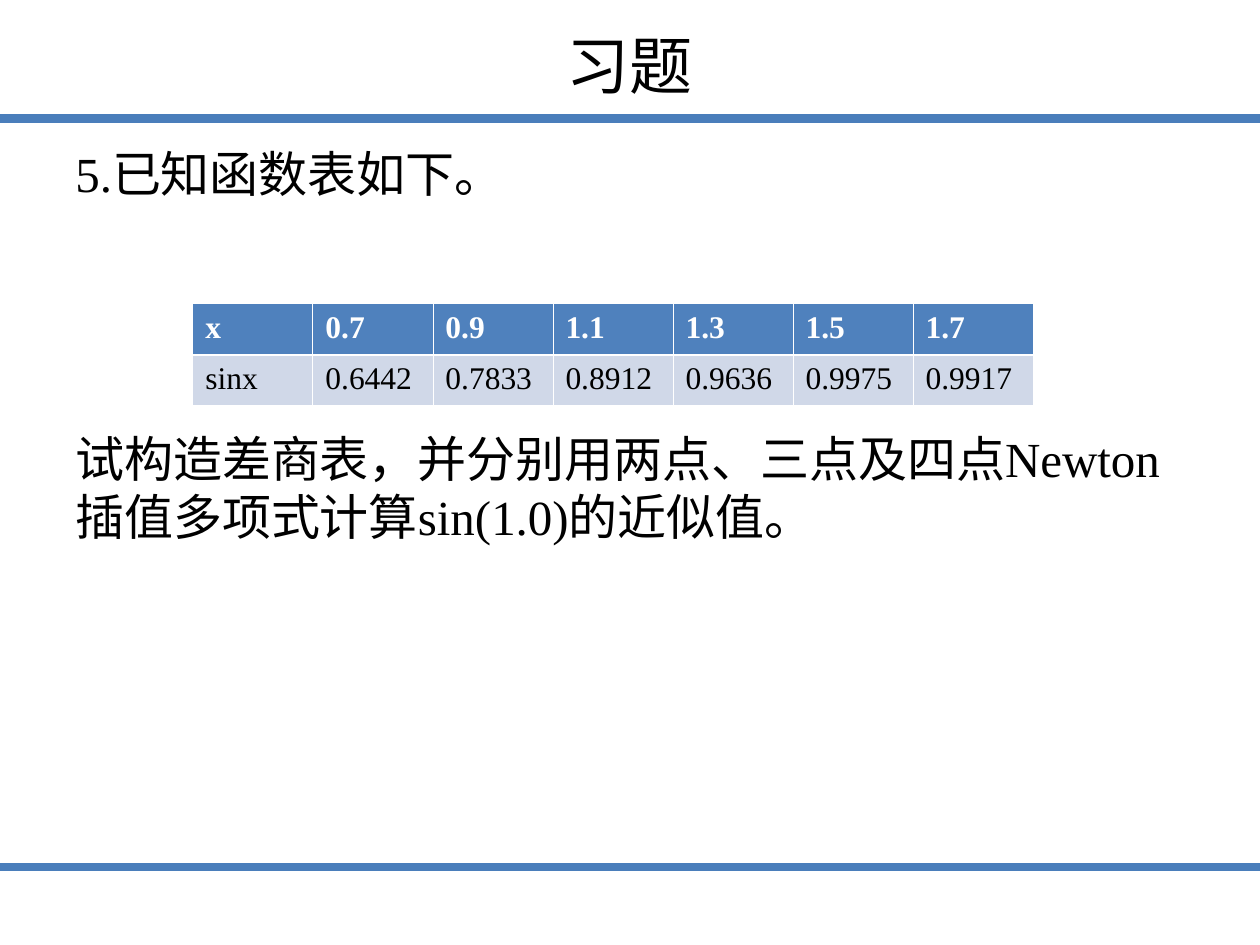
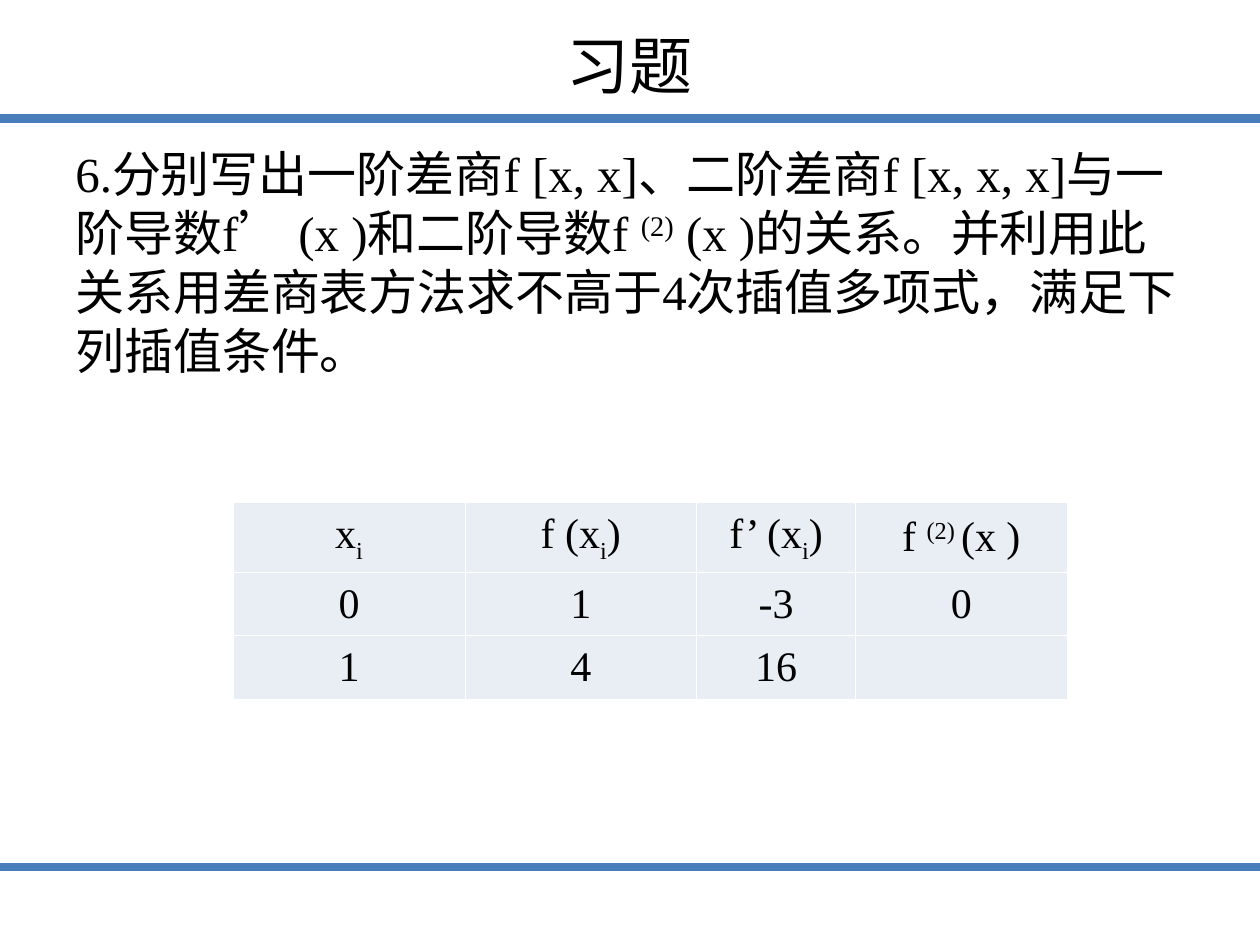
from dataclasses import dataclass

from lxml import etree
from pptx import Presentation
from pptx.dml.color import RGBColor
from pptx.enum.shapes import MSO_CONNECTOR
from pptx.enum.text import MSO_ANCHOR, PP_ALIGN
from pptx.oxml.ns import qn
from pptx.util import Inches, Pt

STRAIGHT = MSO_CONNECTOR.STRAIGHT
TOP, MIDDLE = MSO_ANCHOR.TOP, MSO_ANCHOR.MIDDLE
LEFT, CENTER = PP_ALIGN.LEFT, PP_ALIGN.CENTER


@dataclass(frozen=True)
class Theme:
    """Colours, fonts and type sizes shared by the slides."""
    rule: str = "4A7EBB"
    header: str = "4F81BD"
    band: str = "D0D8E8"
    pale: str = "E9EDF4"
    ink: str = "000000"
    white: str = "FFFFFF"
    title_font: str = "Arial"
    body_font: str = "Times New Roman"
    title_size: float = 36
    body_size: float = 28
    formula_size: float = 24
    value_size: float = 18
    rule_width: float = 5
    thin: float = 0.45
    thick: float = 1.47


THEME = Theme()
SLIDE_SIZE = (10, 7.5)
RULE_TOPS = (0.94, 6.88)
TITLE_BOX = (0.5, 0.16, 9, 0.7)
BODY_BOX = (0.5, 1.09, 9, 5.61)
SUB, SUPER = -25000, 30000

SINE_ROWS = (
    ("x", "0.7", "0.9", "1.1", "1.3", "1.5", "1.7"),
    ("sinx", "0.6442", "0.7833", "0.8912", "0.9636", "0.9975", "0.9917"),
)
SINE_QUESTION = (
    "5.已知函数表如下。",
    "试构造差商表，并分别用两点、三点及四点Newton插值多项式计算sin(1.0)的近似值。",
)
HERMITE_ROWS = (
    (
        [("x", 0), ("i", SUB)],
        [("f (x", 0), ("i", SUB), (")", 0)],
        [("f’ (x", 0), ("i", SUB), (")", 0)],
        [("f ", 0), ("(2) ", SUPER), ("(x )", 0)],
    ),
    ("0", "1", "-3", "0"),
    ("1", "4", "16", ""),
)
HERMITE_QUESTION = (
    [
        ("6.分别写出一阶差商f [x, x]、二阶差商f [x, x, x]与一阶导数f’ (x )和二阶导数f ", 0),
        ("(2)", SUPER),
        (" (x )的关系。并利用此关系用差商表方法求不高于4次插值多项式，满足下列插值条件。", 0),
    ],
)


def write(frame, paragraphs, size, font=THEME.body_font, color=THEME.ink,
          bold=False, align=LEFT, anchor=TOP, gap=0):
    """Write paragraphs, each a string or a list of (text, baseline) runs."""
    frame.word_wrap = True
    frame.vertical_anchor = anchor
    for index, content in enumerate(paragraphs):
        paragraph = frame.add_paragraph() if index else frame.paragraphs[0]
        paragraph.alignment = align
        if index:
            paragraph.space_before = Pt(gap)
        runs = [(content, 0)] if isinstance(content, str) else content
        for text, baseline in runs:
            if not text:
                continue
            run = paragraph.add_run()
            run.text = text
            run.font.name = font
            run.font.size = Pt(size)
            run.font.bold = bold
            run.font.color.rgb = RGBColor.from_string(color)
            if baseline:
                run.font._element.set("baseline", str(baseline))


def add_text(slide, box, paragraphs, **style):
    """Add a text box that fills the given box."""
    frame = slide.shapes.add_textbox(*map(Inches, box)).text_frame
    write(frame, paragraphs, **style)


def add_rule(slide, top):
    """Draw a full-width rule at the given height."""
    rule = slide.shapes.add_connector(
        STRAIGHT, 0, Inches(top), Inches(SLIDE_SIZE[0]), Inches(top))
    rule.line.color.rgb = RGBColor.from_string(THEME.rule)
    rule.line.width = Pt(THEME.rule_width)
    etree.SubElement(rule._element.spPr, qn("a:effectLst"))


def set_borders(cell, top, bottom):
    """Give a cell white borders, with their own top and bottom widths."""
    sides = (("lnL", THEME.thin), ("lnR", THEME.thin), ("lnT", top), ("lnB", bottom))
    properties = cell._tc.get_or_add_tcPr()
    for index, (side, width) in enumerate(sides):
        line = etree.Element(qn(f"a:{side}"), w=str(int(Pt(width))))
        fill = etree.SubElement(line, qn("a:solidFill"))
        etree.SubElement(fill, qn("a:srgbClr"), val=THEME.white)
        properties.insert(index, line)


def add_grid(slide, origin, widths, heights, rows, fills, margin,
             divider=THEME.thin, header_style=None, **style):
    """Build a table at origin, with a divider below its first row."""
    frame = slide.shapes.add_table(
        len(heights), len(widths), *map(Inches, (*origin, sum(widths), sum(heights))))
    table = frame.table
    table.first_row = table.horz_banding = False
    for column, width in zip(table.columns, widths):
        column.width = Inches(width)
    for index, (row, height, values) in enumerate(zip(table.rows, heights, rows)):
        row.height = Inches(height)
        row_style = {**style, **(header_style or {})} if index == 0 else style
        for cell, content in zip(row.cells, values):
            cell.margin_left = cell.margin_right = Inches(margin)
            cell.margin_top = cell.margin_bottom = Inches(0.05)
            cell.fill.solid()
            cell.fill.fore_color.rgb = RGBColor.from_string(fills[index])
            set_borders(cell, divider if index == 1 else THEME.thin,
                        divider if index == 0 else THEME.thin)
            cell.vertical_anchor = row_style.get("anchor", TOP)
            write(cell.text_frame, [content], **row_style)


def add_exercise(deck, question, gap=0):
    """Add a slide with rules, title and question text."""
    slide = deck.slides.add_slide(deck.slide_layouts[6])
    for top in RULE_TOPS:
        add_rule(slide, top)
    add_text(slide, TITLE_BOX, ["习题"], size=THEME.title_size,
             font=THEME.title_font, align=CENTER, anchor=MIDDLE)
    add_text(slide, BODY_BOX, question, size=THEME.body_size, gap=gap)
    return slide


def add_sine_exercise(deck):
    """Add the exercise on Newton interpolation of the sine."""
    slide = add_exercise(deck, SINE_QUESTION, gap=129)
    add_grid(slide, (1.53, 2.41), [6.67 / 7] * 7, (0.41, 0.4), SINE_ROWS,
             (THEME.header, THEME.band), margin=0.1, divider=THEME.thick,
             header_style={"color": THEME.white, "bold": True},
             size=THEME.value_size)


def add_hermite_exercise(deck):
    """Add the exercise on divided differences with derivatives."""
    slide = add_exercise(deck, HERMITE_QUESTION)
    add_grid(slide, (1.85, 3.99), (1.84, 1.84, 1.26, 1.68), (0.54, 0.4, 0.4),
             HERMITE_ROWS, [THEME.pale] * 3, margin=0.07,
             size=THEME.formula_size, align=CENTER, anchor=MIDDLE)


def main():
    """Build and save the deck."""
    deck = Presentation()
    deck.slide_width, deck.slide_height = map(Inches, SLIDE_SIZE)
    add_sine_exercise(deck)
    add_hermite_exercise(deck)
    deck.save("out.pptx")


if __name__ == "__main__":
    main()
